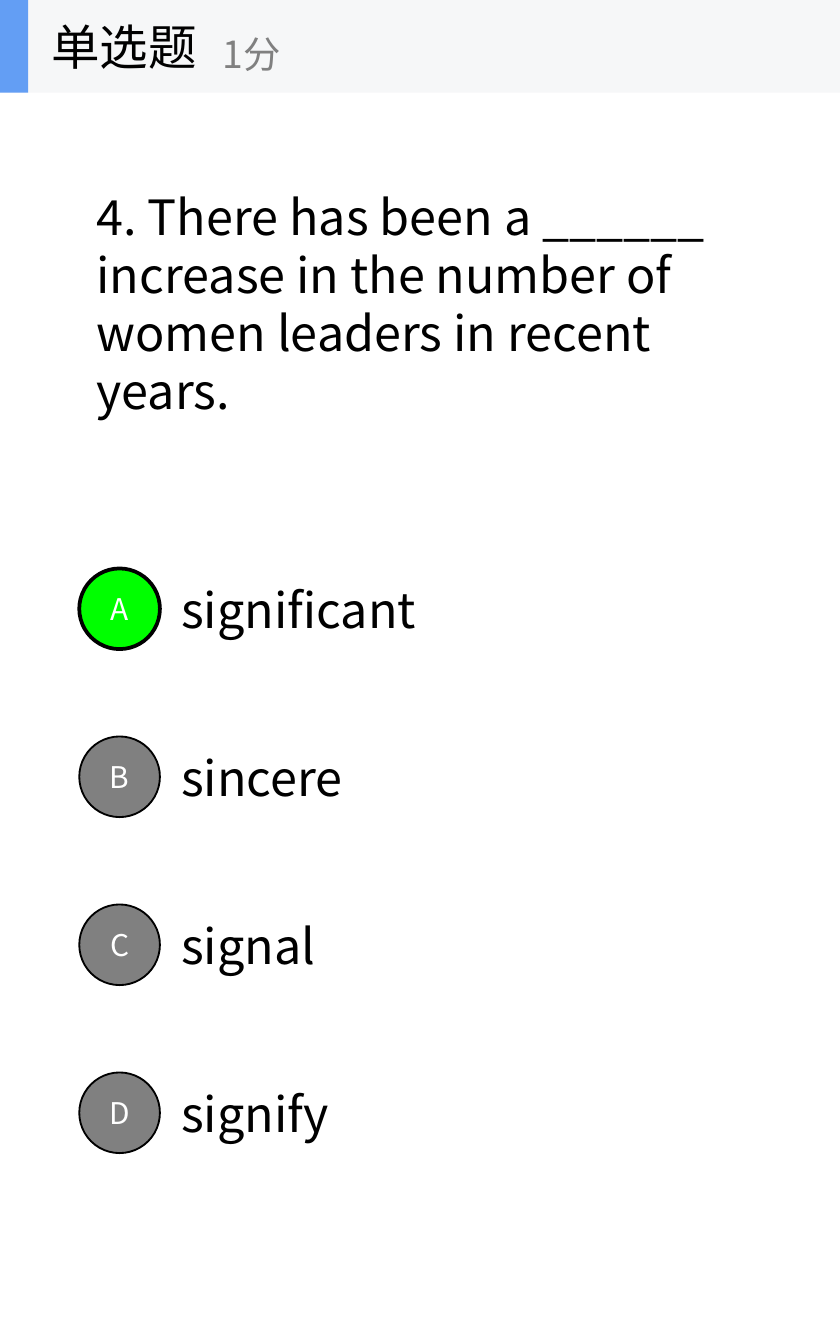
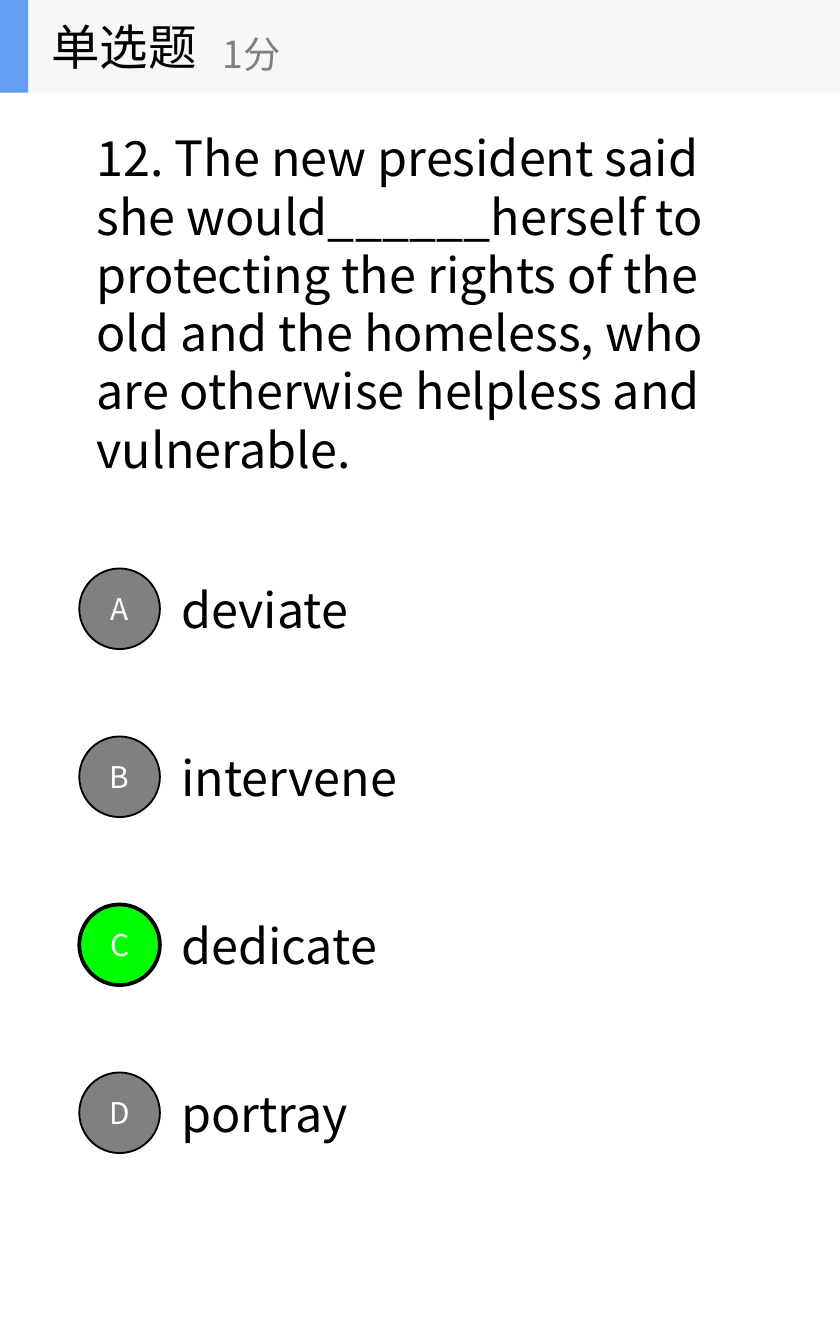
from lxml.etree import SubElement
from pptx import Presentation
from pptx.dml.color import RGBColor
from pptx.enum.shapes import MSO_SHAPE
from pptx.enum.text import MSO_ANCHOR, MSO_AUTO_SIZE, PP_ALIGN
from pptx.oxml.ns import qn
from pptx.util import Inches, Pt

QUESTIONS = [
    {
        "text": "4. There has been a ______ increase in the number of women leaders in recent years.",
        "height": 1.85,
        "options": [("significant", 3.43), ("sincere", 2.89), ("signal", 3.31), ("signify", 2.27)],
        "answer": "A",
    },
    {
        "text": "12. The new president said she would______herself to protecting the rights of "
                "the old and the homeless, who are otherwise helpless and vulnerable.",
        "height": 2.73,
        "options": [("deviate", 1.56), ("intervene", 1.93), ("dedicate", 1.79), ("portray", 1.58)],
        "answer": "C",
    },
]
HEADING = "单选题"
SCORE = "1分"

FONT = "Noto Sans CJK SC"
BLACK = RGBColor(0x00, 0x00, 0x00)
WHITE = RGBColor(0xFF, 0xFF, 0xFF)
GRAY = RGBColor(0x80, 0x80, 0x80)
GREEN = RGBColor(0x00, 0xFF, 0x00)
BLUE = RGBColor(0x63, 0x9E, 0xF4)
PALE = RGBColor(0xF6, 0xF7, 0xF8)

PAGE_WIDTH, PAGE_HEIGHT = 6.25, 10
BAND_HEIGHT = 0.69
QUESTION_CENTER = 2.255
FIRST_OPTION_CENTER, OPTION_STEP = 4.53, 1.25
CIRCLE, OPTION_HEIGHT = 0.6, 0.54


def write(shape, text, size, color, align=PP_ALIGN.LEFT, wrap=True):
    frame = shape.text_frame
    frame.text = text
    frame.word_wrap = wrap
    frame.auto_size = MSO_AUTO_SIZE.NONE
    frame.vertical_anchor = MSO_ANCHOR.MIDDLE
    para = frame.paragraphs[0]
    para.alignment = align
    para.font.size = Pt(size)
    para.font.color.rgb = color
    para.font.name = FONT
    properties = para._p.pPr.find(qn("a:defRPr"))
    SubElement(properties, qn("a:ea")).set("typeface", FONT)
    return para


def add_text(page, place, text, size, color, wrap=True):
    box = page.shapes.add_textbox(*map(Inches, place))
    para = write(box, text, size, color, wrap=wrap)
    if wrap:
        box.text_frame.auto_size = MSO_AUTO_SIZE.SHAPE_TO_FIT_TEXT
    return para


def add_shape(page, kind, place, fill, line_width=0):
    shape = page.shapes.add_shape(kind, *map(Inches, place))
    shape.shadow.inherit = False
    shape.fill.solid()
    shape.fill.fore_color.rgb = fill
    if line_width:
        shape.line.color.rgb = BLACK
        shape.line.width = Pt(line_width)
    else:
        shape.line.fill.background()
    return shape


def add_header(page):
    add_shape(page, MSO_SHAPE.RECTANGLE, (0, 0, PAGE_WIDTH, BAND_HEIGHT), PALE)
    accent = add_shape(page, MSO_SHAPE.RECTANGLE, (0, 0, 0.21, BAND_HEIGHT), BLUE)
    title = page.shapes.title
    title.left, title.top, title.width, title.height = map(Inches, (0.28, 0, 2.08, BAND_HEIGHT))
    write(title, HEADING, 26, BLACK, wrap=False)
    accent.element.addnext(title.element)
    add_text(page, (1.56, 0.12, 2.5, 0.56), SCORE, 20, GRAY, wrap=False)


def add_option(page, letter, word, width, center, correct):
    add_text(page, (1.25, center - OPTION_HEIGHT / 2, width, OPTION_HEIGHT), word, 26, BLACK)
    fill, line_width = (GREEN, 2) if correct else (GRAY, 1)
    place = (0.59, center - CIRCLE / 2, CIRCLE, CIRCLE)
    circle = add_shape(page, MSO_SHAPE.OVAL, place, fill, line_width)
    write(circle, letter, 16, WHITE, PP_ALIGN.CENTER)


def add_question(deck, question):
    page = deck.slides.add_slide(deck.slide_layouts[5])
    add_header(page)
    height = question["height"]
    place = (0.62, QUESTION_CENTER - height / 2, 4.99, height)
    para = add_text(page, place, question["text"], 26, BLACK)
    para.line_spacing = Pt(31.2)
    for row, (letter, (word, width)) in enumerate(zip("ABCD", question["options"])):
        center = FIRST_OPTION_CENTER + row * OPTION_STEP
        add_option(page, letter, word, width, center, letter == question["answer"])


def main():
    deck = Presentation()
    deck.slide_width, deck.slide_height = Inches(PAGE_WIDTH), Inches(PAGE_HEIGHT)
    for question in QUESTIONS:
        add_question(deck, question)
    deck.save("out.pptx")


if __name__ == "__main__":
    main()
